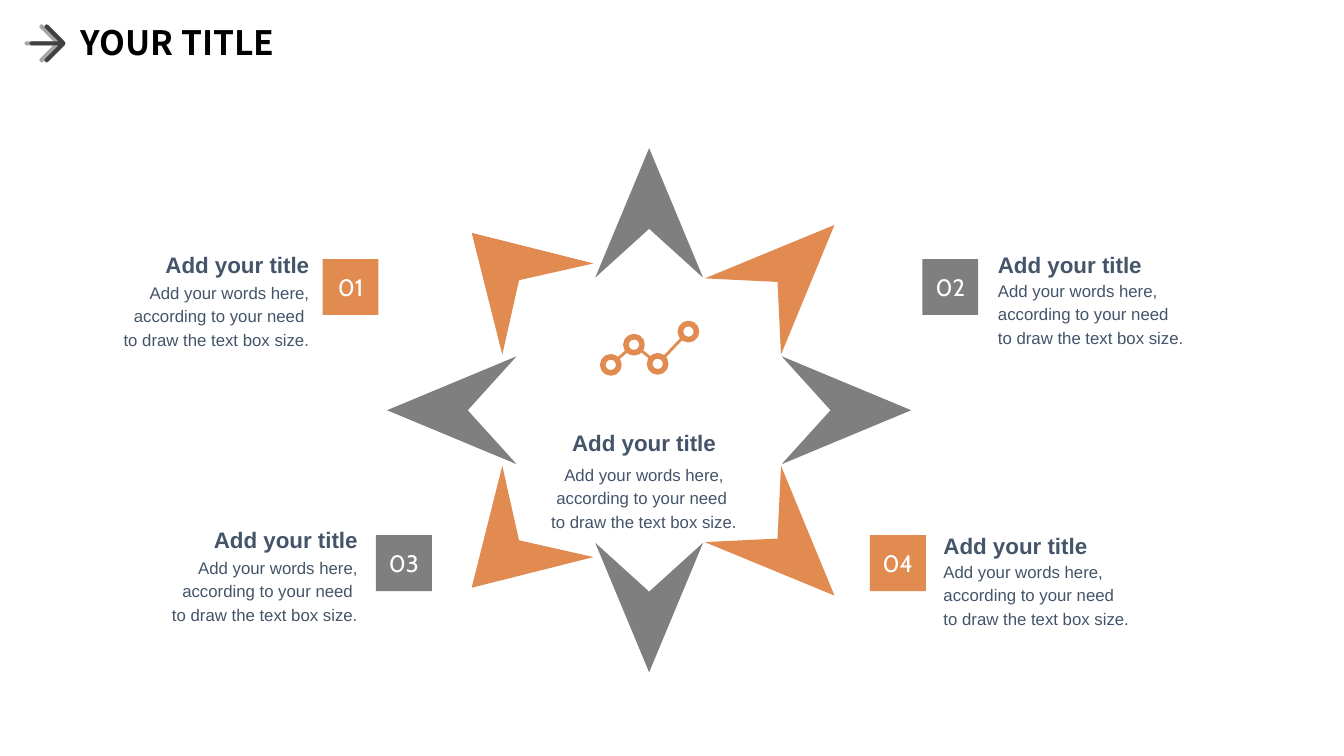
from dataclasses import dataclass
from itertools import pairwise
from math import cos, radians, sin

from lxml import etree
from pptx import Presentation
from pptx import util as u
from pptx.dml.color import RGBColor
from pptx.enum import shapes, text
from pptx.oxml import ns


@dataclass(frozen=True)
class Theme:
    orange: str = "E18B51"
    gray: str = "7F7F7F"
    pale: str = "A6A6A6"
    dark: str = "404040"
    ink: str = "445469"
    black: str = "000000"
    white: str = "FFFFFF"
    sans: str = "Arial"
    round: str = "Cabin"
    bold: str = "Noto Sans CJK SC"
    title: int = 24
    badge: int = 17
    head: int = 16
    body: int = 12


T = Theme()
CELL = u.Inches(0.1)
COLS, ROWS = 133.33, 75
LEFT, MID, RIGHT = 0, 0.5, 1
ALIGN = {LEFT: text.PP_ALIGN.LEFT, MID: text.PP_ALIGN.CENTER, RIGHT: text.PP_ALIGN.RIGHT}

TITLE = "YOUR TITLE"
HEAD = "Add your title"
BODY = ["Add your words here,", "according to your need", "to draw the text box size."]

NOTES = [
    dict(x=63.9, y=42.6, gap=3.5, side=MID),
    dict(x=30.7, y=24.9, gap=3.1, side=RIGHT),
    dict(x=35.5, y=52.2, gap=3.1, side=RIGHT),
    dict(x=99, y=24.9, gap=2.9, side=LEFT),
    dict(x=93.6, y=52.8, gap=2.9, side=LEFT),
]
BADGES = [
    ("01", 32, 25.7, T.orange),
    ("02", 91.5, 25.7, T.gray),
    ("03", 37.3, 53.1, T.gray),
    ("04", 86.3, 53.1, T.orange),
]
HUB = (64.4, 40.7)
LONG = [(0, 26), (5.35, 13.15), (0, 18), (-5.35, 13.15)]
WIDE = [(0, 24.9), (6.4, 14.2), (0, 18.25), (-6.4, 14.2)]
BLADES = [LONG] * 5 + [WIDE, LONG, WIDE]
DOTS = [(60.6, 36.2), (62.9, 34.2), (65.25, 36.1), (68.3, 32.9)]
ARROW = [(3.6, 0), (3.5, -0.2), (1.9, -1.8), (1.7, -1.9), (1.6, -1.8), (1.5, -1.65),
         (1.6, -1.5), (2.9, -0.2), (0.2, -0.2), (0, 0)]
ARROWS = [(2.4, 4.3, T.pale), (2.9, 4.3, T.dark)]


def emu(*vals):
    return [round(v * CELL) for v in vals]


def rgb(code):
    return RGBColor.from_string(code)


def paint(shape, fill):
    shape.shadow.inherit = False
    shape.fill.solid()
    shape.fill.fore_color.rgb = rgb(fill)
    shape.line.fill.background()
    return shape


def write(shape, lines, size, font, color, bold=False, side=LEFT, inset=None,
          lead=0, anchor=text.MSO_ANCHOR.TOP):
    frame = shape.text_frame
    frame.word_wrap = True
    frame.auto_size = text.MSO_AUTO_SIZE.NONE
    frame.vertical_anchor = anchor
    if inset is not None:
        frame.margin_left = frame.margin_right = inset
        frame.margin_top = frame.margin_bottom = inset
    for i, line in enumerate(lines):
        para = frame.add_paragraph() if i else frame.paragraphs[0]
        para.alignment = ALIGN[side]
        if lead:
            gap = etree.SubElement(para._p.get_or_add_pPr(), ns.qn("a:spcBef"))
            etree.SubElement(gap, ns.qn("a:spcPct"), val=str(lead * 1000))
        run = para.add_run()
        run.text = line
        run.font.size, run.font.name, run.font.bold = u.Pt(size), font, bold
        run.font.color.rgb = rgb(color)


def outline(pool, dots, fill):
    first, *rest = [emu(*dot) for dot in dots]
    pen = pool.build_freeform(*first)
    pen.add_line_segments(rest, close=True)
    return paint(pen.convert_to_shape(), fill)


def turn(dot, angle):
    side, out = dot
    a = radians(angle)
    return (HUB[0] + side * cos(a) + out * sin(a),
            HUB[1] + side * sin(a) - out * cos(a))


def star(pool):
    for i, blade in enumerate(BLADES):
        dots = [turn(dot, i * 45) for dot in blade]
        outline(pool, dots, T.orange if i % 2 else T.gray)


def trend(pool):
    for a, b in pairwise(DOTS):
        link = pool.add_connector(shapes.MSO_CONNECTOR.STRAIGHT, *emu(*a, *b))
        link.line.color.rgb = rgb(T.orange)
        link.line.width = u.Pt(2)
        etree.SubElement(link._element.spPr, ns.qn("a:effectLst"))
    for x, y in DOTS:
        ring = paint(pool.add_shape(shapes.MSO_SHAPE.OVAL,
                                    *emu(x - 0.8, y - 0.8, 1.6, 1.6)), T.white)
        ring.line.color.rgb = rgb(T.orange)
        ring.line.width = u.Pt(4)


def note(pool, x, y, gap, side):
    body = BODY if side == LEFT else [BODY[0], BODY[1] + " ", BODY[2]]
    parts = [
        (y, 25.6, 2.7, [HEAD], T.head, True),
        (y + gap, 22.1, 6.9, body, T.body, False),
    ]
    for top, wide, tall, lines, size, bold in parts:
        box = pool.add_textbox(*emu(x - side * wide, top, wide, tall))
        write(box, lines, size, T.sans, T.ink, bold=bold, side=side, inset=0, lead=20)


def main():
    deck = Presentation()
    deck.slide_width, deck.slide_height = emu(COLS, ROWS)
    pool = deck.slides.add_slide(deck.slide_layouts[5]).shapes

    title = pool.title
    title.left, title.top, title.width, title.height = emu(7, 1.7, 30, 5)
    write(title, [TITLE], T.title, T.bold, T.black, bold=True,
          anchor=text.MSO_ANCHOR.MIDDLE)

    loop = ARROW + [(x, -y) for x, y in ARROW[-2:0:-1]]
    for left, axis, fill in ARROWS:
        outline(pool, [(left + x, axis + y) for x, y in loop], fill)

    star(pool)
    trend(pool)
    for label, x, y, fill in BADGES:
        box = paint(pool.add_shape(shapes.MSO_SHAPE.RECTANGLE,
                                   *emu(x, y, 5.55, 5.55)), fill)
        write(box, [label], T.badge, T.round, T.white, side=MID, inset=0,
              anchor=text.MSO_ANCHOR.MIDDLE)
    for item in NOTES:
        note(pool, **item)

    deck.save("out.pptx")


if __name__ == "__main__":
    main()
